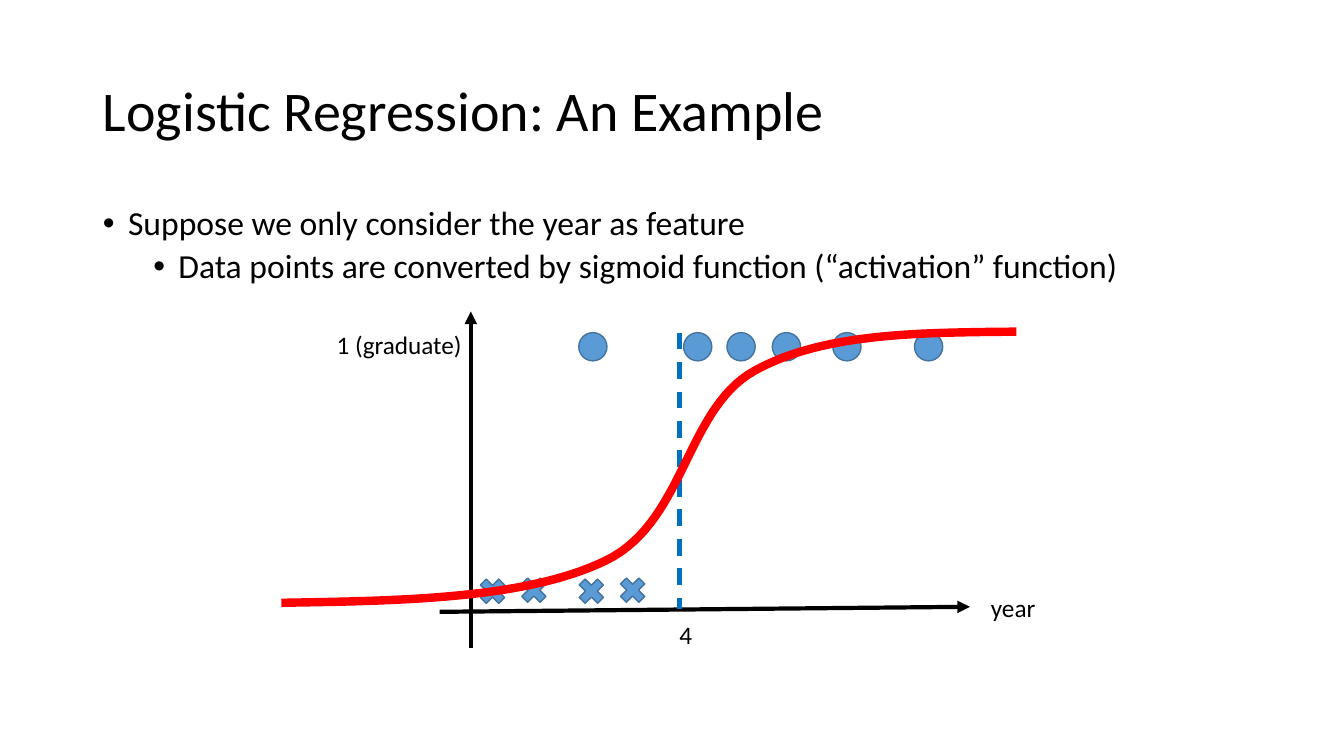
from dataclasses import dataclass

from lxml.etree import SubElement
from pptx import Presentation
from pptx.dml.color import RGBColor
from pptx.enum.dml import MSO_LINE
from pptx.enum.shapes import MSO_CONNECTOR, MSO_SHAPE
from pptx.enum.text import MSO_ANCHOR, MSO_AUTO_SIZE, PP_ALIGN
from pptx.oxml.ns import qn
from pptx.util import Inches, Pt


@dataclass(frozen=True)
class Theme:
    font: str = "Calibri"
    text: RGBColor = RGBColor(0, 0, 0)
    marker: RGBColor = RGBColor(0x5B, 0x9B, 0xD5)
    marker_edge: RGBColor = RGBColor(0x43, 0x73, 0x9E)
    boundary: RGBColor = RGBColor(0, 0x70, 0xC0)
    curve: RGBColor = RGBColor(0xFF, 0, 0)
    title_size: int = 40
    body_size: int = 24
    label_size: int = 18


THEME = Theme()

GRADUATE_YEARS = (5.74, 6.78, 7.21, 7.66, 8.26, 9.07)
OTHER_MARKS = ((4.71, 5.69), (5.12, 5.68), (5.69, 5.69), (6.1, 5.68))
SIGMOID_START = (2.79, 5.98)
SIGMOID_SEGMENTS = (
    ((4.01, 5.96), (5.23, 5.94), (6.01, 5.56)),
    ((6.79, 5.18), (6.8, 4.06), (7.48, 3.68)),
    ((8.16, 3.3), (9.12, 3.3), (10.08, 3.29)),
)


def write_text(paragraph, text, *, size, line_spacing=1.0, space_before=0):
    paragraph.alignment = PP_ALIGN.LEFT
    paragraph.line_spacing = line_spacing
    paragraph.space_before = Pt(space_before)
    run = paragraph.add_run()
    run.text = text
    run.font.name = THEME.font
    run.font.size = Pt(size)
    run.font.color.rgb = THEME.text


def place(shape, left, top, width, height):
    shape.left, shape.top = Inches(left), Inches(top)
    shape.width, shape.height = Inches(width), Inches(height)


def set_bullet(paragraph, left):
    properties = paragraph._p.get_or_add_pPr()
    properties.set("marL", str(Inches(left)))
    properties.set("indent", str(Inches(-0.25)))
    SubElement(properties, qn("a:buFont"), typeface="Arial")
    SubElement(properties, qn("a:buChar"), char="•")


def fill_title(title, text):
    place(title, 0.92, 0.4, 11.5, 1.45)
    frame = title.text_frame
    frame.auto_size = MSO_AUTO_SIZE.NONE
    frame.vertical_anchor = MSO_ANCHOR.MIDDLE
    write_text(frame.paragraphs[0], text, size=THEME.title_size, line_spacing=0.9)


def fill_body(body, items):
    place(body, 0.92, 2, 11.5, 4.76)
    frame = body.text_frame
    frame.auto_size = MSO_AUTO_SIZE.NONE
    frame.vertical_anchor = MSO_ANCHOR.TOP
    for level, text in enumerate(items):
        paragraph = frame.add_paragraph() if level else frame.paragraphs[0]
        paragraph.level = level
        set_bullet(paragraph, 0.25 + 0.5 * level)
        write_text(paragraph, text, size=THEME.body_size, line_spacing=0.9,
                   space_before=5 * level)


def add_label(slide, text, left, top, width):
    box = slide.shapes.add_textbox(
        Inches(left), Inches(top), Inches(width), Inches(0.42))
    box.text_frame.word_wrap = False
    write_text(box.text_frame.paragraphs[0], text, size=THEME.label_size)


def add_line(slide, start, end, color, *, arrow=False, dash=None):
    connector = slide.shapes.add_connector(
        MSO_CONNECTOR.STRAIGHT, *map(Inches, start + end))
    connector.line.color.rgb = color
    connector.line.width = Pt(3)
    if dash is not None:
        connector.line.dash_style = dash
    if arrow:
        SubElement(connector.line._get_or_add_ln(), qn("a:tailEnd"), type="triangle")
    SubElement(connector._element.spPr, qn("a:effectLst"))


def add_marker(slide, kind, left, top, size):
    marker = slide.shapes.add_shape(
        kind, Inches(left), Inches(top), Inches(size), Inches(size))
    marker.shadow.inherit = False
    marker.fill.solid()
    marker.fill.fore_color.rgb = THEME.marker
    marker.line.color.rgb = THEME.marker_edge
    marker.line.width = Pt(1)


def bezier_point(corners, t):
    weights = ((1 - t) ** 3, 3 * t * (1 - t) ** 2, 3 * t ** 2 * (1 - t), t ** 3)
    return tuple(Inches(sum(weight * value for weight, value in zip(weights, axis)))
                 for axis in zip(*corners))


def add_sigmoid(slide, steps=30):
    """Draw the cubic segments as one fine open polyline."""
    points, start = [], SIGMOID_START
    for segment in SIGMOID_SEGMENTS:
        points += [bezier_point((start, *segment), step / steps)
                   for step in range(1, steps + 1)]
        start = segment[-1]
    builder = slide.shapes.build_freeform(*map(Inches, SIGMOID_START))
    builder.add_line_segments(points, close=False)
    curve = builder.convert_to_shape()
    curve.shadow.inherit = False
    curve.fill.background()
    curve.line.color.rgb = THEME.curve
    curve.line.width = Pt(6)


def main():
    presentation = Presentation()
    presentation.slide_width = Inches(13.33)
    presentation.slide_height = Inches(7.5)
    slide = presentation.slides.add_slide(presentation.slide_layouts[1])

    fill_title(slide.shapes.title, "Logistic Regression: An Example")
    fill_body(slide.placeholders[1], (
        "Suppose we only consider the year as feature",
        "Data points are converted by sigmoid function (“activation” function)",
    ))

    add_line(slide, (4.67, 6.43), (4.67, 3.09), THEME.text, arrow=True)
    add_line(slide, (4.36, 6.07), (9.62, 6.02), THEME.text, arrow=True)
    for left, top in OTHER_MARKS:
        add_marker(slide, MSO_SHAPE.MATH_MULTIPLY, left, top, 0.35)
    add_line(slide, (6.74, 3.3), (6.74, 6.04), THEME.boundary, dash=MSO_LINE.DASH)
    for left in GRADUATE_YEARS:
        add_marker(slide, MSO_SHAPE.OVAL, left, 3.3, 0.28)
    add_sigmoid(slide)

    add_label(slide, "year", 9.73, 5.83, 0.67)
    add_label(slide, "4", 6.64, 6.09, 0.34)
    add_label(slide, "1 (graduate)", 3.24, 3.22, 1.53)
    presentation.save("out.pptx")


if __name__ == "__main__":
    main()
